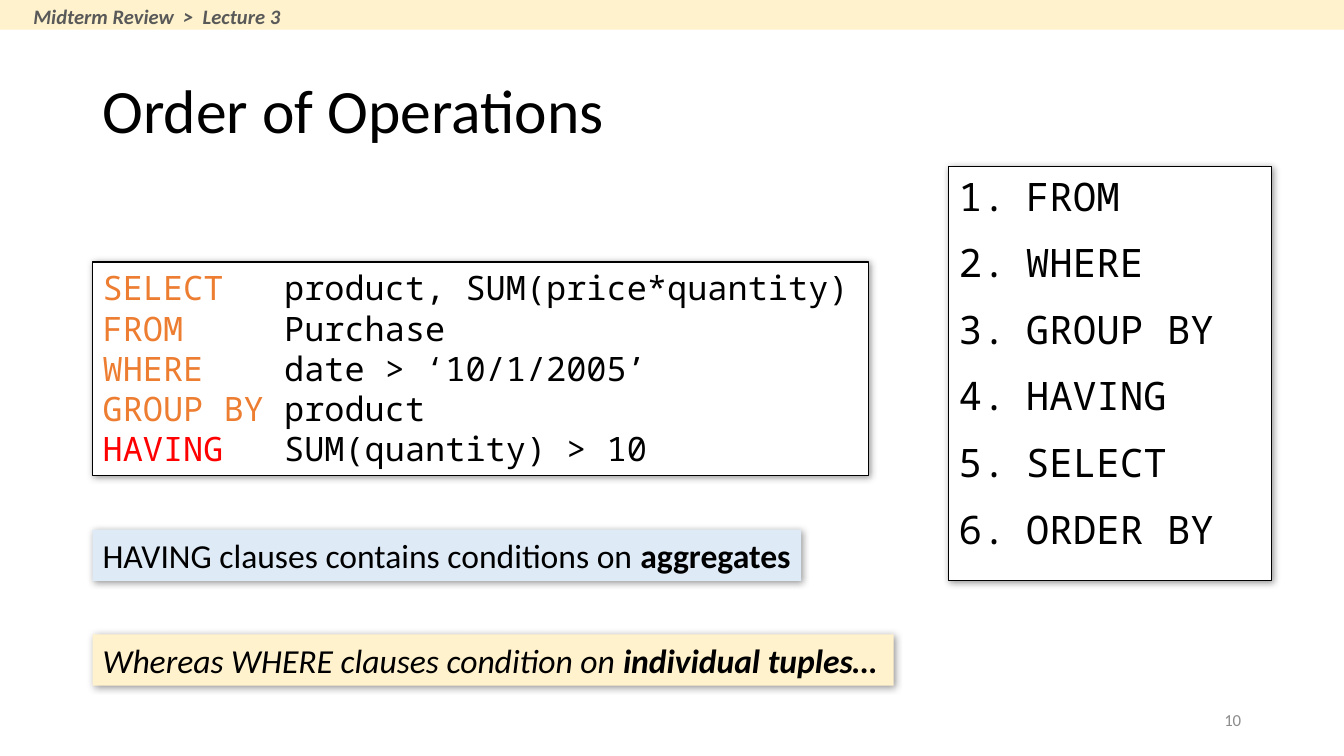
from dataclasses import dataclass

from lxml import etree
from pptx import Presentation
from pptx.dml.color import RGBColor
from pptx.enum.shapes import MSO_SHAPE
from pptx.enum.text import MSO_ANCHOR, MSO_AUTO_SIZE, PP_ALIGN
from pptx.oxml.ns import qn
from pptx.util import Cm, Pt

RECTANGLE = MSO_SHAPE.RECTANGLE
TOP, MIDDLE = MSO_ANCHOR.TOP, MSO_ANCHOR.MIDDLE
LEFT, RIGHT = PP_ALIGN.LEFT, PP_ALIGN.RIGHT
NO_AUTOFIT = MSO_AUTO_SIZE.NONE

TITLE_ONLY = 5
SANS, MONO = "Calibri", "Noto Sans Mono"
COLORS = {
    "black": "000000",
    "white": "FFFFFF",
    "blue": "DEEBF7",
    "cream": "FFF2CC",
    "orange": "ED7D31",
    "red": "FF0000",
    "dark_gray": "595959",
    "gray": "8C8C8C",
}
MARGIN = 1.75
SIDE_LEFT = 17.93
CODE_TAB = 3.43
NOTE_HEIGHT = 0.97


@dataclass(frozen=True)
class Box:
    """A rectangle on the slide, in centimetres."""
    left: float
    top: float
    width: float
    height: float

    def lengths(self) -> list:
        return [Cm(value) for value in (self.left, self.top, self.width, self.height)]


@dataclass(frozen=True)
class Style:
    size: float
    font: str = SANS
    color: str = "black"
    bold: bool = False
    italic: bool = False


@dataclass(frozen=True)
class Note:
    box: Box
    fill: str
    text: str
    emphasis: str
    italic: bool


@dataclass(frozen=True)
class Clause:
    keyword: str
    body: str
    color: str = "orange"


NOTES = [
    Note(Box(MARGIN, 10.01, 13.39, NOTE_HEIGHT), "blue",
         "HAVING clauses contains conditions on ", "aggregates", False),
    Note(Box(MARGIN, 11.99, 15.14, NOTE_HEIGHT), "cream",
         "Whereas WHERE clauses condition on ", "individual tuples…", True),
]
CLAUSES = [
    Clause("SELECT", "product, SUM(price*quantity)"),
    Clause("FROM", "Purchase"),
    Clause("WHERE", "date > ‘10/1/2005’"),
    Clause("GROUP BY", "product"),
    Clause("HAVING", "SUM(quantity) > 10", "red"),
]
STEPS = ["FROM", "WHERE", "GROUP BY", "HAVING", "SELECT", "ORDER BY"]


def rgb(name: str) -> RGBColor:
    return RGBColor.from_string(COLORS[name])


def add_element(parent, tag: str, **attributes):
    element = etree.SubElement(parent, qn(tag))
    for name, value in attributes.items():
        element.set(name, str(value))
    return element


def add_shadow(shape) -> None:
    effects = shape._element.spPr.find(qn("a:effectLst"))
    shadow = add_element(effects, "a:outerShdw", blurRad=Pt(4), dist=Pt(1),
                         dir=45 * 60000, algn="tl", rotWithShape=0)
    color = add_element(shadow, "a:srgbClr", val=COLORS["black"])
    add_element(color, "a:alpha", val=40000)


def format_frame(frame, wrap: bool = True, anchor=TOP,
                 side: float = 0.19, edge: float = 0.1) -> None:
    values = {
        "word_wrap": wrap, "auto_size": NO_AUTOFIT, "vertical_anchor": anchor,
        "margin_left": Cm(side), "margin_right": Cm(side),
        "margin_top": Cm(edge), "margin_bottom": Cm(edge),
    }
    for name, value in values.items():
        setattr(frame, name, value)


def add_run(paragraph, text: str, style: Style) -> None:
    run = paragraph.add_run()
    run.text = text
    values = {"name": style.font, "size": Pt(style.size),
              "bold": style.bold, "italic": style.italic}
    for name, value in values.items():
        setattr(run.font, name, value)
    run.font.color.rgb = rgb(style.color)


def add_paragraphs(frame, count: int) -> list:
    for _ in range(count - 1):
        frame.add_paragraph()
    for paragraph in frame.paragraphs:
        paragraph.alignment = LEFT
    return list(frame.paragraphs)


def add_panel(shapes, box: Box, fill: str, outlined: bool = False, raised: bool = True):
    shape = shapes.add_shape(RECTANGLE, *box.lengths())
    shape.fill.solid()
    shape.fill.fore_color.rgb = rgb(fill)
    if outlined:
        shape.line.color.rgb = rgb("black")
        shape.line.width = Pt(0.75)
    else:
        shape.line.fill.background()
    shape.shadow.inherit = False
    if raised:
        add_shadow(shape)
    format_frame(shape.text_frame)
    return shape


def add_title(slide) -> None:
    title = slide.shapes.title
    title.left, title.top, title.width, title.height = Box(MARGIN, 0.76, 21.9, 2.77).lengths()
    format_frame(title.text_frame, anchor=MIDDLE)
    paragraph = title.text_frame.paragraphs[0]
    paragraph.alignment = LEFT
    paragraph.line_spacing = 0.9
    add_run(paragraph, "Order of Operations", Style(33))


def add_note(shapes, note: Note) -> None:
    frame = add_panel(shapes, note.box, note.fill).text_frame
    frame.word_wrap = False
    paragraph = add_paragraphs(frame, 1)[0]
    add_run(paragraph, note.text, Style(18, italic=note.italic))
    add_run(paragraph, note.emphasis, Style(18, bold=True, italic=note.italic))


def add_query(shapes) -> None:
    panel = add_panel(shapes, Box(MARGIN, 4.95, 14.66, 4.04), "white", outlined=True)
    for paragraph, clause in zip(add_paragraphs(panel.text_frame, len(CLAUSES)), CLAUSES):
        tabs = add_element(paragraph._p.get_or_add_pPr(), "a:tabLst")
        add_element(tabs, "a:tab", pos=Cm(CODE_TAB), algn="l")
        add_run(paragraph, clause.keyword, Style(18, MONO, clause.color))
        add_run(paragraph, "\t" + clause.body, Style(18, MONO))


def add_steps(shapes) -> None:
    panel = add_panel(shapes, Box(SIDE_LEFT, 3.15, 6.1, 7.82), "white", outlined=True)
    for paragraph, step in zip(add_paragraphs(panel.text_frame, len(STEPS)), STEPS):
        properties = paragraph._p.get_or_add_pPr()
        properties.set("marL", str(Cm(1.27)))
        properties.set("indent", str(Cm(-1.27)))
        add_element(add_element(properties, "a:spcBef"), "a:spcPct", val=50000)
        add_element(properties, "a:buFont", typeface=MONO)
        add_element(properties, "a:buAutoNum", type="arabicPeriod")
        add_run(paragraph, step, Style(21, MONO))


def add_label(shapes, box: Box, text: str, style: Style, alignment=LEFT, **frame_format) -> None:
    frame = shapes.add_textbox(*box.lengths()).text_frame
    format_frame(frame, **frame_format)
    frame.paragraphs[0].alignment = alignment
    add_run(frame.paragraphs[0], text, style)


def main() -> None:
    presentation = Presentation()
    presentation.slide_width, presentation.slide_height = Cm(25.4), Cm(14.29)
    slide = presentation.slides.add_slide(presentation.slide_layouts[TITLE_ONLY])
    shapes = slide.shapes

    add_title(slide)
    add_label(shapes, Box(SIDE_LEFT, 13.23, 5.72, 0.76), "10",
              Style(9, color="gray"), RIGHT, anchor=MIDDLE)
    for note in NOTES:
        add_note(shapes, note)
    add_query(shapes)
    add_steps(shapes)

    header = shapes.add_group_shape().shapes
    add_panel(header, Box(0, 0, 25.4, 0.56), "cream", raised=False)
    add_label(header, Box(0.38, -0.05, 5.26, 0.74), "Midterm Review  >  Lecture 3",
              Style(11, color="dark_gray", bold=True, italic=True),
              wrap=False, side=0.25, edge=0.13)
    presentation.save("out.pptx")


if __name__ == "__main__":
    main()
